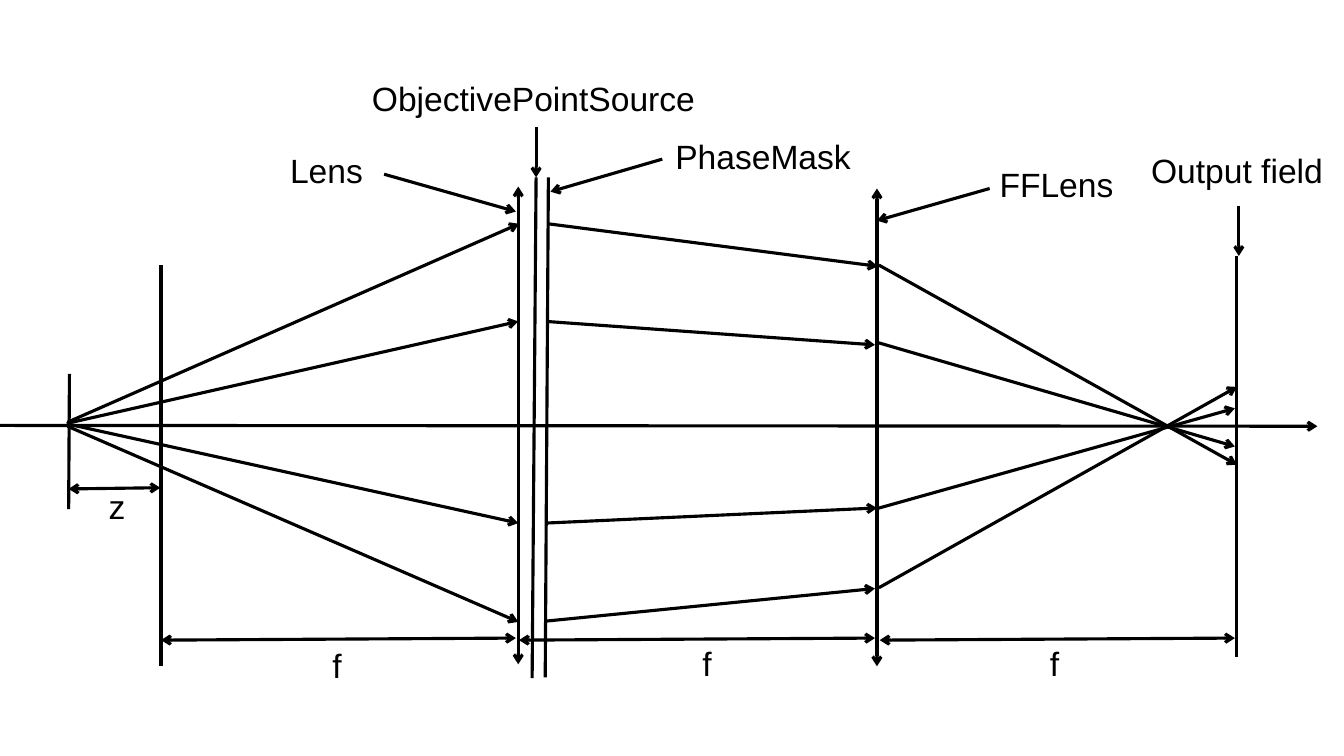
"""Draw the light path from a point source through a lens, phase mask and far-field lens."""
from dataclasses import dataclass

from lxml import etree
from pptx import Presentation
from pptx import util as u
from pptx.dml.color import RGBColor
from pptx.enum import shapes, text
from pptx.oxml import ns

PLANES = [
    (1.75, 9.42, 1.73, 12.83),
    (4.06, 6.68, 4.06, 16.79),
    (13.51, 4.47, 13.41, 17.09),
    (13.82, 4.47, 13.74, 17.07),
    (31.17, 6.45, 31.17, 16.56),
]
LENSES = [(13.06, 4.7, 13.06, 16.74), (22.1, 4.75, 22.1, 16.79)]
OPTICAL_AXIS = [(0, 10.72, 33.2, 10.74)]
DISTANCES = [
    (1.73, 12.32, 4.04, 12.29),
    (4.06, 16.13, 13, 16.08),
    (13.08, 16.13, 22.05, 16.08),
    (22.17, 16.13, 31.12, 16.08),
]
RAYS = [
    (1.7, 10.64, 13.08, 5.64),
    (1.68, 10.67, 13.06, 8.1),
    (1.73, 10.69, 13.06, 13.18),
    (1.7, 10.74, 13.06, 15.67),
    (13.82, 5.64, 22.12, 6.71),
    (13.77, 8.1, 22.05, 8.69),
    (13.77, 13.18, 22.1, 12.8),
    (13.77, 15.65, 22.05, 14.83),
    (22.15, 6.68, 31.17, 11.71),
    (22.15, 8.64, 31.12, 11.25),
    (22.05, 12.83, 31.12, 10.29),
    (22.15, 14.81, 31.17, 9.75),
]
POINTERS = [
    (9.68, 4.39, 13, 5.33),
    (13.51, 3.2, 13.51, 4.47),
    (16.69, 4.01, 13.87, 4.83),
    (24.94, 4.75, 22.1, 5.56),
    (31.22, 5.18, 31.22, 6.45),
]
SYMBOLS = [
    ("z", 2.49, 12.12, 0.84),
    ("f", 8.13, 16.13, 0.86),
    ("f", 17.45, 16.08, 0.86),
    ("f", 26.21, 16.08, 0.86),
    ("Lens", 7.06, 3.66, 2.59),
    ("FFLens", 24.94, 4.01, 3.91),
]
TITLES = [
    ("ObjectivePointSource", 8.86, 1.85, 9.17),
    ("PhaseMask", 16.74, 3.3, 4.98),
    ("Output field", 28.47, 3.66, 5.41),
]


@dataclass(frozen=True)
class Theme:
    """Hold the look shared by every line and label."""
    ink: RGBColor = RGBColor(0, 0, 0)
    font: str = "Arial"
    size: int = 24
    stroke: float = 2.25
    label_height: float = 1.27


THEME = Theme()


def add_line(page, ends, arrows=()):
    """Draw a straight line with arrowheads at the named ends."""
    line = page.shapes.add_connector(
        shapes.MSO_CONNECTOR.STRAIGHT, *(u.Cm(value) for value in ends))
    line.line.color.rgb = THEME.ink
    line.line.width = u.Pt(THEME.stroke)
    outline = line.line._get_or_add_ln()
    for end in arrows:
        etree.SubElement(outline, ns.qn(f"a:{end}"), type="arrow")
    etree.SubElement(line._element.spPr, ns.qn("a:effectLst"))


def add_label(page, words, left, top, width, align=text.PP_ALIGN.LEFT):
    """Write one label in the theme's type."""
    box = page.shapes.add_textbox(
        u.Cm(left), u.Cm(top), u.Cm(width), u.Cm(THEME.label_height))
    box.text_frame.word_wrap = True
    box.text_frame.auto_size = text.MSO_AUTO_SIZE.SHAPE_TO_FIT_TEXT
    para = box.text_frame.paragraphs[0]
    para.alignment = align
    span = para.add_run()
    span.text = words
    span.font.name = THEME.font
    span.font.size = u.Pt(THEME.size)
    span.font.color.rgb = THEME.ink


def main():
    """Build and save the slide."""
    deck = Presentation()
    deck.slide_width, deck.slide_height = u.Cm(33.87), u.Cm(19.05)
    page = deck.slides.add_slide(deck.slide_layouts[6])
    line_groups = [
        (PLANES, ()),
        (LENSES + DISTANCES, ("headEnd", "tailEnd")),
        (OPTICAL_AXIS + RAYS + POINTERS, ("tailEnd",)),
    ]
    for lines, arrows in line_groups:
        for ends in lines:
            add_line(page, ends, arrows)
    for label in SYMBOLS:
        add_label(page, *label)
    for label in TITLES:
        add_label(page, *label, align=text.PP_ALIGN.CENTER)
    deck.save("out.pptx")


if __name__ == "__main__":
    main()
